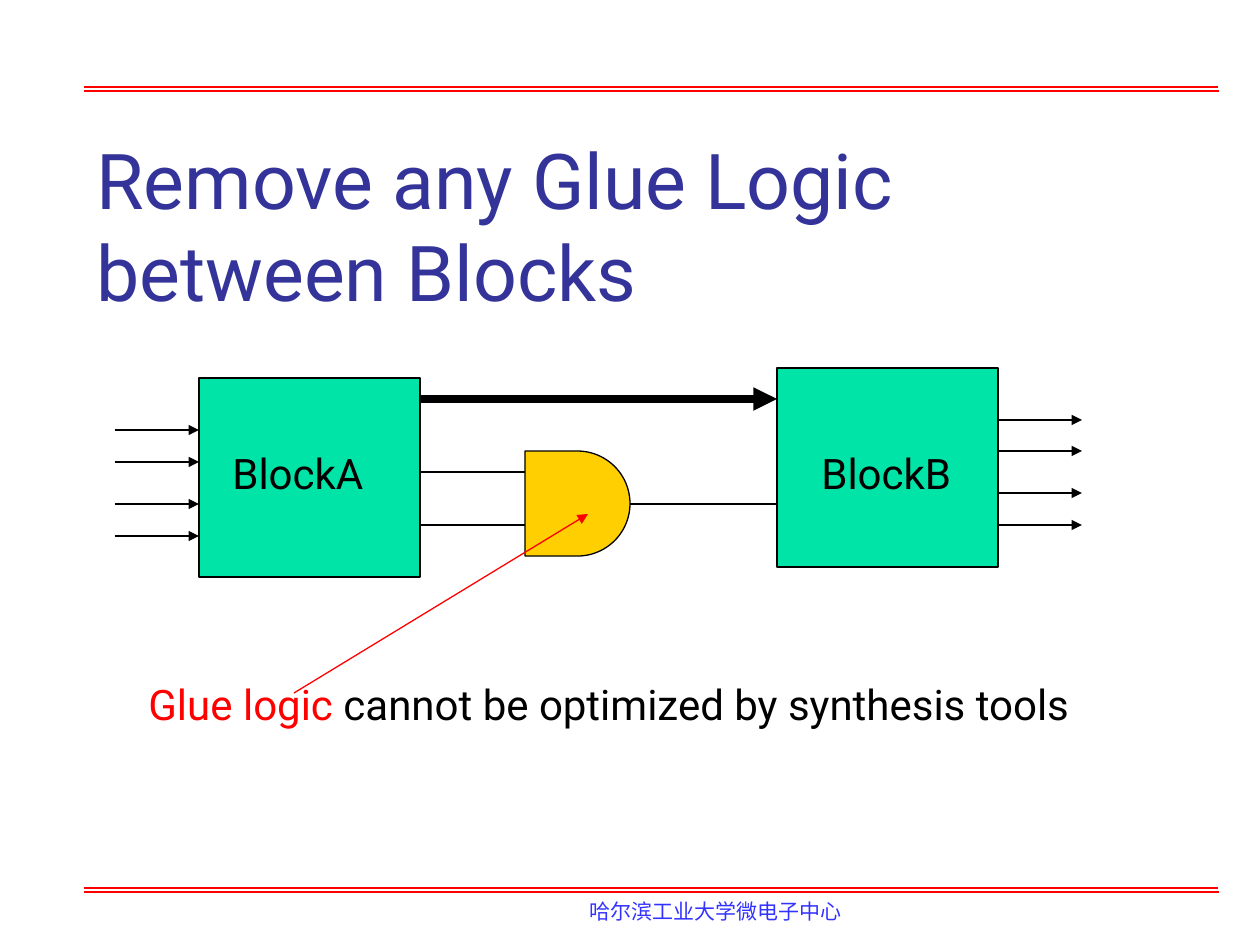
import pptx
import pptx.dml.color
import pptx.enum.shapes
import pptx.oxml
import pptx.oxml.ns
import pptx.util

THEME = {
    "rule": "FF0000", "title": "333399", "footer": "3333FF", "ink": "000000",
    "accent": "FF0000", "block": "00E4A8", "gate": "FFCF01",
    "font": "Roboto", "footer_font": "DejaVu Sans",
    "title_size": 44, "body_size": 24, "footer_size": 12,
}
SHAPE = pptx.enum.shapes.MSO_SHAPE
rgb = pptx.dml.color.RGBColor.from_string


def px(n):
    return pptx.util.Emu(round(n * 914400 / 126))


def add_line(x1, y1, x2, y2, color=THEME["ink"], width=0.75, arrow=False):
    s = slide.shapes.add_connector(
        pptx.enum.shapes.MSO_CONNECTOR.STRAIGHT, px(x1), px(y1), px(x2), px(y2))
    s.line.color.rgb = rgb(color)
    s.line.width = pptx.util.Pt(width)
    if arrow:
        pptx.oxml.ns.qn("a:tailEnd")
        ln = s.line._get_or_add_ln()
        ln.append(pptx.oxml.parse_xml(
            f'<a:tailEnd {pptx.oxml.ns.nsdecls("a")} type="triangle"/>'))
    s._element.spPr.append(pptx.oxml.parse_xml(
        f'<a:effectLst {pptx.oxml.ns.nsdecls("a")}/>'))


def add_text(x, y, w, h, runs, size, font=THEME["font"]):
    """Add a one-paragraph text box; runs is a list of (text, colour)."""
    tf = slide.shapes.add_textbox(px(x), px(y), px(w), px(h)).text_frame
    tf.word_wrap = True
    p = tf.paragraphs[0]
    p.font.name = font
    p.font.size = pptx.util.Pt(size)
    for text, color in runs:
        r = p.add_run()
        r.text = text
        r.font.color.rgb = rgb(color)


prs = pptx.Presentation()
prs.slide_width, prs.slide_height = px(1260), px(945)
slide = prs.slides.add_slide(prs.slide_layouts[6])

# Double rules at the top and bottom
for y in (87, 888):
    add_line(84, y, 1218, y, THEME["rule"])
    add_line(84, y + 4, 1219, y + 4, THEME["rule"], 1.5)

add_text(577, 892, 284, 38, [("哈尔滨工业大学微电子中心", THEME["footer"])],
         THEME["footer_size"], THEME["footer_font"])
add_text(84, 126, 1081, 198,
         [("Remove any Glue Logic between Blocks", THEME["title"])],
         THEME["title_size"])

# Blocks and the AND gate between them
for kind, x, y, w, h, fill in (
    (SHAPE.RECTANGLE, 199, 378, 221, 199, THEME["block"]),
    (SHAPE.RECTANGLE, 777, 368, 221, 199, THEME["block"]),
    (SHAPE.FLOWCHART_DELAY, 525, 451, 105, 105, THEME["gate"]),
):
    s = slide.shapes.add_shape(kind, px(x), px(y), px(w), px(h))
    s.shadow.inherit = False
    s.fill.solid()
    s.fill.fore_color.rgb = rgb(fill)
    s.line.color.rgb = rgb(THEME["ink"])
    s.line.width = pptx.util.Pt(0.75)

for x, label in ((220, "BlockA"), (809, "BlockB")):
    add_text(x, 441, 158, 113, [(label, THEME["ink"])], THEME["body_size"])

# Wires through the gate, and the direct bus
for y in (472, 525):
    add_line(525, y, 420, y)
add_line(630, 504, 777, 504)
add_line(420, 399, 777, 399, width=4.5, arrow=True)

# Inputs of BlockA and outputs of BlockB
for x, ys in ((115, (430, 462, 504, 536)), (998, (420, 451, 493, 525))):
    for y in ys:
        add_line(x, y, x + 84, y, arrow=True)

add_text(136, 672, 977, 113,
         [("Glue logic", THEME["accent"]),
          (" cannot be optimized by synthesis tools", THEME["ink"])],
         THEME["body_size"])
add_line(294, 693, 588, 514, THEME["accent"], arrow=True)

prs.save("out.pptx")
